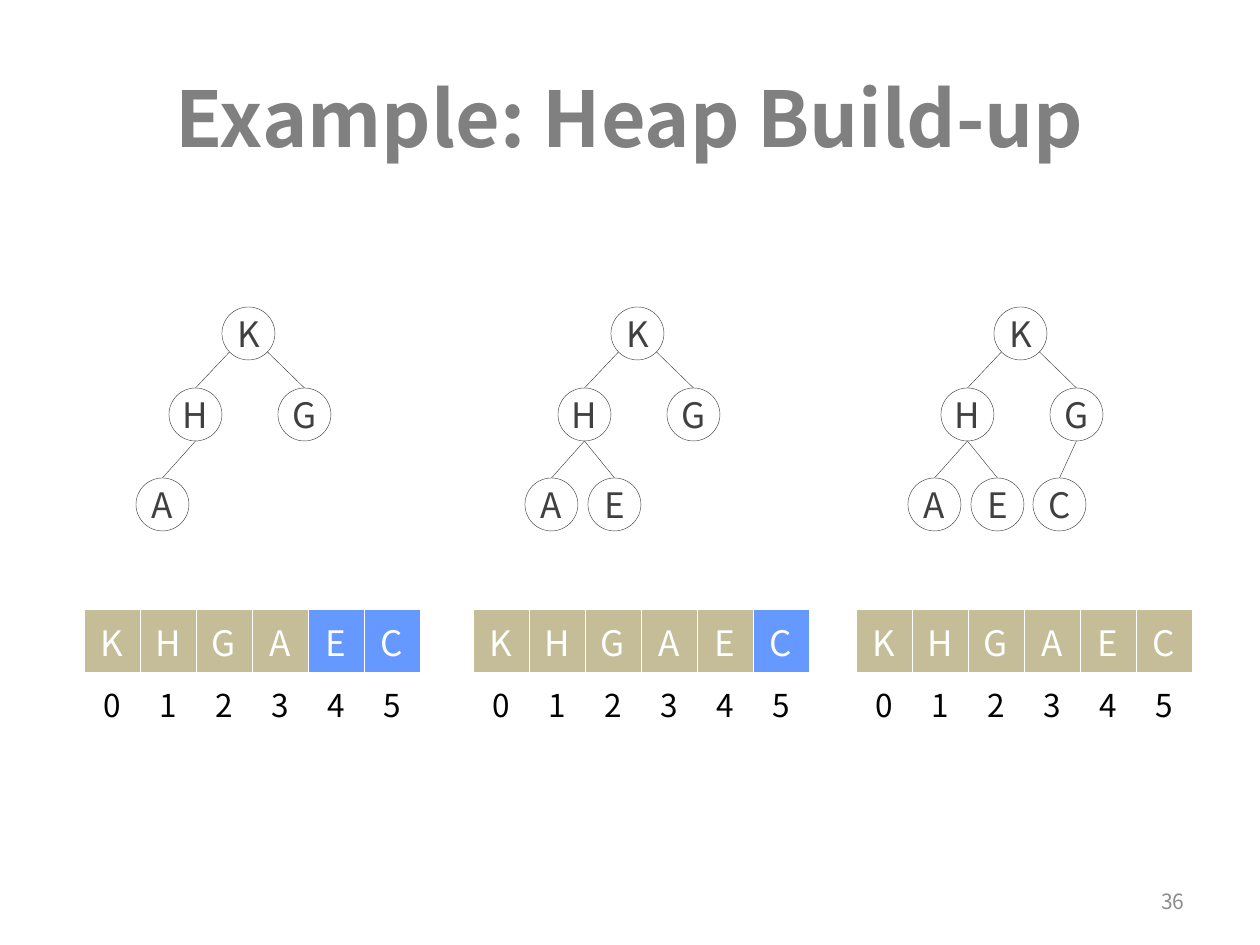
from lxml import etree
from pptx import Presentation, util as u
from pptx.dml.color import RGBColor
from pptx.enum import shapes, text
from pptx.oxml.ns import qn

PX = 914400 / 126
FONT = "Noto Sans CJK SC"
WHITE = RGBColor(0xFF, 0xFF, 0xFF)
BLACK = RGBColor(0, 0, 0)
DARK = RGBColor(0x40, 0x40, 0x40)
TITLE = RGBColor(0x80, 0x80, 0x80)
NUMBER = RGBColor(0x8C, 0x8C, 0x8C)
TAN = RGBColor(0xC4, 0xBD, 0x97)
BLUE = RGBColor(0x66, 0x99, 0xFF)
CENTER, RIGHT = text.PP_ALIGN.CENTER, text.PP_ALIGN.RIGHT


def px(*lengths):
    return [u.Emu(round(n * PX)) for n in lengths]


def write(tf, words, size, color, align=CENTER, bold=False):
    p = tf.paragraphs[0]
    p.alignment = align
    r = p.add_run()
    r.text = words
    r.font.name, r.font.size, r.font.bold = FONT, u.Pt(size), bold
    r.font.color.rgb = color


prs = Presentation()
prs.slide_width, prs.slide_height = px(1260, 945)
s = prs.slides.add_slide(prs.slide_layouts[6])

# Title and slide number
for box, words, size, color, align, bold in [
    ((63, 38, 1134, 157), "Example: Heap Build-up", 44, TITLE, CENTER, True),
    ((903, 876, 294, 50), "36", 12, NUMBER, RIGHT, False),
]:
    tf = s.shapes.add_textbox(*px(*box)).text_frame
    tf.word_wrap = True
    tf.vertical_anchor = text.MSO_ANCHOR.MIDDLE
    write(tf, words, size, color, align, bold)

# Heap nodes in array order, placed from the left edge of each table
KEYS = "KHGAEC"
NODES = [(138, 307), (85, 388), (194, 388), (52, 478), (115, 478), (177, 478)]
DIAMETER, COL, ROW, TABLE_TOP = 53, 56, 63, 609

# Each step: left edge and number of keys already in the heap
for left, count in [(84, 4), (473, 5), (856, 6)]:
    # Array with its indices
    table = s.shapes.add_table(2, 6, *px(left, TABLE_TOP, 6 * COL, 2 * ROW)).table
    table.first_row = table.horz_banding = False
    for row in table.rows:
        row.height = px(ROW)[0]
    for i, key in enumerate(KEYS):
        table.columns[i].width = px(COL)[0]
        for j, (words, size, color) in enumerate([(key, 20, WHITE), (str(i), 18, BLACK)]):
            cell = table.cell(j, i)
            cell.vertical_anchor = text.MSO_ANCHOR.MIDDLE
            write(cell.text_frame, words, size, color)
            for side in ("a:lnL", "a:lnR", "a:lnT", "a:lnB"):
                ln = etree.SubElement(cell._tc.get_or_add_tcPr(), qn(side), w="3175")
                fill = etree.SubElement(ln, qn("a:solidFill"))
                etree.SubElement(fill, qn("a:srgbClr"), val=str(WHITE))
        table.cell(0, i).fill.solid()
        table.cell(0, i).fill.fore_color.rgb = TAN if i < count else BLUE
        table.cell(1, i).fill.background()

    # Tree, where the parent of node i is node (i - 1) // 2
    for i, (x, y) in enumerate(NODES[:count]):
        sp = s.shapes.add_shape(shapes.MSO_SHAPE.OVAL, *px(left + x, y, DIAMETER, DIAMETER))
        sp.shadow.inherit = False
        sp.fill.background()
        sp.line.color.rgb, sp.line.width = DARK, u.Pt(0.25)
        tf = sp.text_frame
        tf.word_wrap = False
        tf.margin_left = tf.margin_right = tf.margin_top = tf.margin_bottom = 0
        tf.vertical_anchor = text.MSO_ANCHOR.MIDDLE
        write(tf, KEYS[i], 20, DARK)
        if i == 0:
            continue
        parent = (i - 1) // 2
        start_x, start_y = NODES[parent][0] + DIAMETER / 2, NODES[parent][1] + DIAMETER
        if parent == 0:  # edges leave the root at its lower diagonals
            start_x += -19 if i == 1 else 19
            start_y -= 8
        edge = s.shapes.add_connector(
            shapes.MSO_CONNECTOR.STRAIGHT,
            *px(left + start_x, start_y, left + x + DIAMETER / 2, y))
        edge.line.color.rgb, edge.line.width = DARK, u.Pt(0.25)
        etree.SubElement(edge._element.spPr, qn("a:effectLst"))

prs.save("out.pptx")
